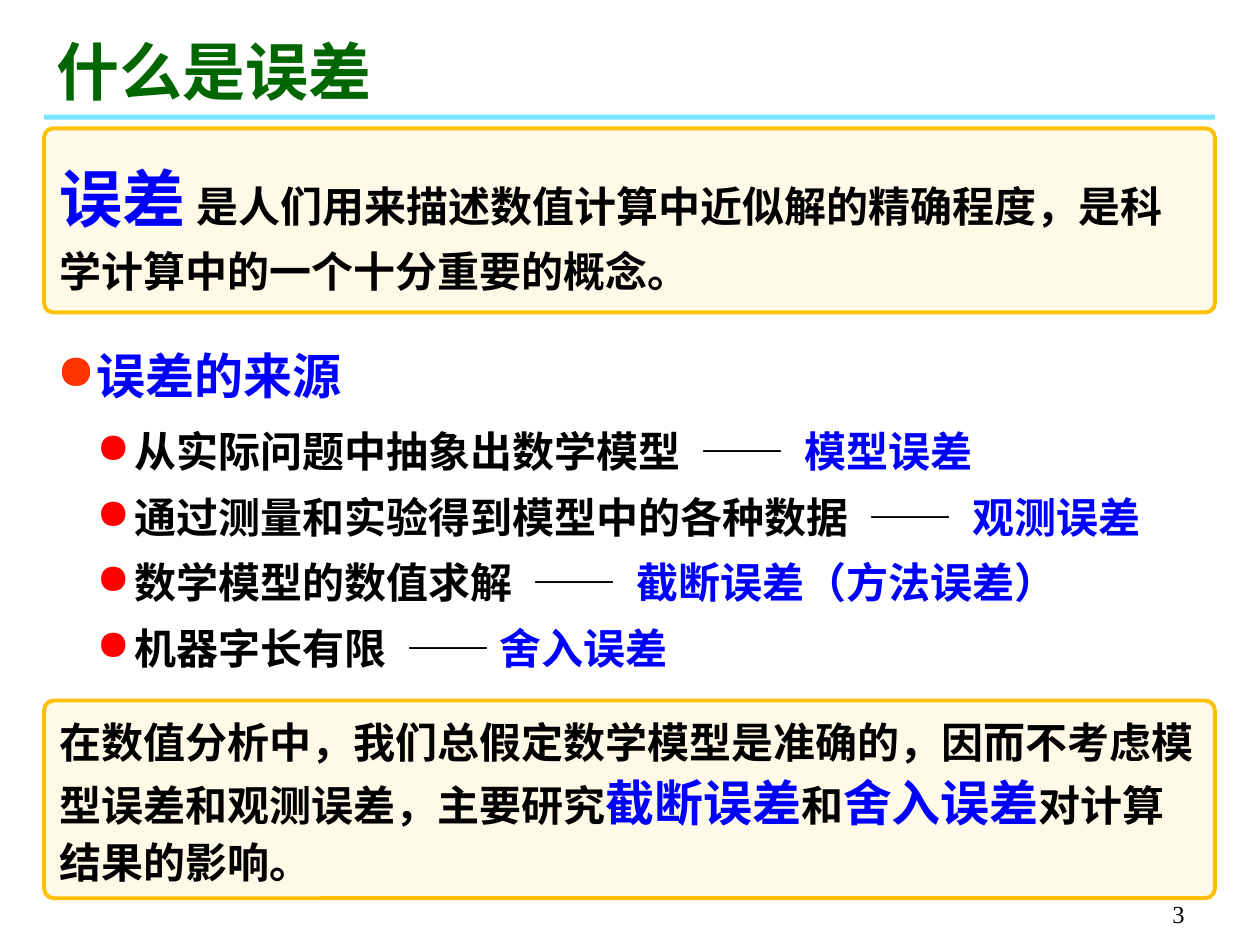
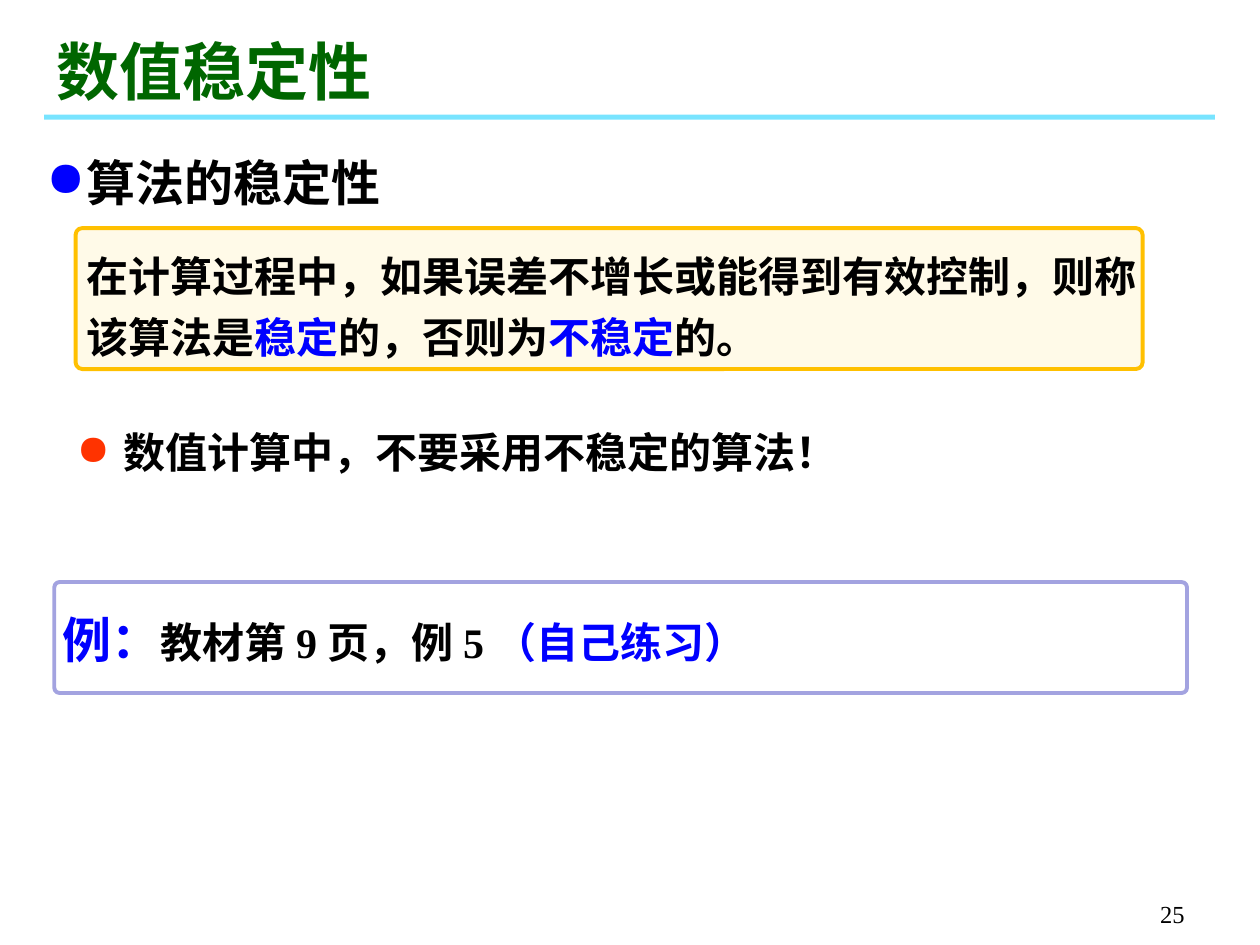
from lxml import etree
from pptx import Presentation
from pptx.dml.color import RGBColor
from pptx.enum.shapes import MSO_SHAPE
from pptx.enum.text import MSO_ANCHOR, PP_ALIGN
from pptx.oxml.ns import qn
from pptx.util import Pt

RECT, ROUND = MSO_SHAPE.RECTANGLE, MSO_SHAPE.ROUNDED_RECTANGLE
TOP, MIDDLE, BOTTOM = MSO_ANCHOR.TOP, MSO_ANCHOR.MIDDLE, MSO_ANCHOR.BOTTOM
LEFT, RIGHT = PP_ALIGN.LEFT, PP_ALIGN.RIGHT

FONT = "Times New Roman"
COLORS = {
    "ink": "000000", "blue": "0000FF", "green": "006600", "band": "00CCFF",
    "cream": "FFF5CC", "gold": "FFC000", "lilac": "A3A3E0",
    "red": "FF0000", "orange": "FF3300",
}
STYLES = {
    "title": ({"size": Pt(36), "bold": True}, "green"),
    "huge": ({"size": Pt(36), "bold": True}, "blue"),
    "head": ({"size": Pt(28), "bold": True}, "ink"),
    "key": ({"size": Pt(28), "bold": True}, "blue"),
    "body": ({"size": Pt(24), "bold": True}, "ink"),
    "term": ({"size": Pt(24), "bold": True}, "blue"),
    "gap": ({"size": Pt(24), "bold": True}, "ink"),
    "page": ({"size": Pt(14), "bold": False}, "ink"),
}
GAP = "600"  # extra width of a gap run, in hundredths of a point


def color(name):
    return RGBColor.from_string(COLORS[name])


def bullet(par, name, indent):
    """Give the paragraph a round bullet and a hanging indent."""
    props = par._p.get_or_add_pPr()
    props.set("marL", str(Pt(indent)))
    props.set("indent", str(-Pt(indent)))
    tint = etree.SubElement(props, qn("a:buClr"))
    etree.SubElement(tint, qn("a:srgbClr")).set("val", COLORS[name])
    etree.SubElement(props, qn("a:buChar")).set("char", "●")


def write(frame, pars, spacing=1.0, anchor=TOP, align=LEFT, mark=None):
    """Fill a frame; pars is a list of lists of (text, style) runs."""
    frame.word_wrap = True
    frame.vertical_anchor = anchor
    for i, runs in enumerate(pars):
        par = frame.add_paragraph() if i else frame.paragraphs[0]
        par.line_spacing, par.alignment = spacing, align
        if mark:
            bullet(par, *mark)
        for text, style in runs:
            run = par.add_run()
            run.text = text
            values, tint = STYLES[style]
            for key, value in values.items():
                setattr(run.font, key, value)
            run.font.name = FONT
            run.font.color.rgb = color(tint)
            if style == "gap":
                run._r.get_or_add_rPr().set("spc", GAP)


def label(slide, box, pars, **layout):
    shape = slide.shapes.add_textbox(*map(Pt, box))
    write(shape.text_frame, pars, **layout)


def panel(slide, kind, box, fill=None, alpha=100, edge=None):
    shape = slide.shapes.add_shape(kind, *map(Pt, box))
    shape.shadow.inherit = False
    if fill:
        shape.fill.solid()
        shape.fill.fore_color.rgb = color(fill)
        tint = shape._element.spPr.find(".//" + qn("a:srgbClr"))
        etree.SubElement(tint, qn("a:alpha")).set("val", str(alpha * 1000))
    else:
        shape.fill.background()
    if edge:
        shape.line.color.rgb = color(edge)
        shape.line.width = Pt(2.25)
    else:
        shape.line.fill.background()
    if kind == ROUND:
        shape.adjustments[0] = 0.049
    return shape


def card(slide, box):
    return panel(slide, ROUND, box, "cream", 45, "gold")


def base(deck, title, page):
    """Add a slide with its title, band and page number."""
    slide = deck.slides.add_slide(deck.slide_layouts[6])
    panel(slide, RECT, (25.2, 65.5, 669, 2.9), "band", 53)
    label(slide, (25.2, 10, 378, 55.2), [[(title, "title")]], anchor=BOTTOM)
    label(slide, (534.2, 498.2, 149.8, 36), [[(page, "page")]],
          anchor=BOTTOM, align=RIGHT)
    return slide


def source(slide, box):
    """Place the heading and the list of error sources."""
    x, y, w, h = box
    label(slide, (x, y, w, 44), [[("误差的来源", "key")]],
          spacing=1.2, mark=("orange", 23))
    rows = [
        ("从实际问题中抽象出数学模型", "模型误差", "gap"),
        ("通过测量和实验得到模型中的各种数据", "观测误差", "gap"),
        ("数学模型的数值求解", "截断误差（方法误差）", "gap"),
        ("机器字长有限", "舍入误差", "body"),
    ]
    pars = [[(cause, "body"), (" ", "gap"), ("——", "body"), (" ", space),
             (error, "term")] for cause, error, space in rows]
    label(slide, (x + 23, y + 44, w - 23, h - 44), pars,
          spacing=1.3, mark=("red", 21.5))


def errors(deck):
    slide = base(deck, "什么是误差", "3")
    source(slide, (25.2, 187.2, 669, 202.4))
    shape = card(slide, (25.2, 400.3, 669, 113))
    write(shape.text_frame, [[
        ("在数值分析中，我们总假定数学模型是准确的，因而不考虑模型误差和观测误差，主要研究",
         "body"),
        ("截断误差", "key"), ("和", "body"), ("舍入误差", "key"),
        ("对计算结果的影响。", "body")]], spacing=1.1, anchor=MIDDLE)
    shape = card(slide, (25.2, 73.4, 669, 105.1))
    write(shape.text_frame, [[
        ("误差", "huge"), (" ", "head"),
        ("是人们用来描述数值计算中近似解的精确程度，是科学计算中的一个十分重要的概念。",
         "body")]], spacing=1.2, anchor=MIDDLE)


def define(slide, box):
    """Place the definition of a stable method on its card."""
    x, y, w, h = box
    card(slide, box)
    label(slide, (x - 0.7, y + 3.6, w + 25, h - 3.6), [[
        ("在计算过程中，如果误差不增长或能得到有效控制，则称该算法是", "body"),
        ("稳定", "term"), ("的，否则为", "body"),
        ("不稳定", "term"), ("的。", "body")]], spacing=1.2)


def sample(slide, box):
    """Place the exercise in its frame."""
    x, y, w, h = box
    label(slide, (x - 2.2, y + 7.2, w - 24, h - 21.6), [[
        ("例：", "key"), ("教材第 9 页，例 5 ", "body"),
        ("（自己练习）", "term")]], spacing=1.15)
    panel(slide, ROUND, box, edge="lilac")


def stable(deck):
    slide = base(deck, "数值稳定性", "25")
    label(slide, (19.4, 77, 646.6, 47.5), [[("算法的稳定性", "head")]],
          spacing=1.2, mark=("blue", 23))
    define(slide, (43.2, 130.3, 609.8, 80.6))
    label(slide, (36.7, 234.7, 589.7, 38.9),
          [[("数值计算中，不要采用不稳定的算法！", "body")]],
          spacing=1.2, mark=("orange", 27))
    sample(slide, (31, 332.6, 647.3, 63.4))


def main():
    deck = Presentation()
    deck.slide_width, deck.slide_height = Pt(720), Pt(540)
    errors(deck)
    stable(deck)
    deck.save("out.pptx")


if __name__ == "__main__":
    main()
